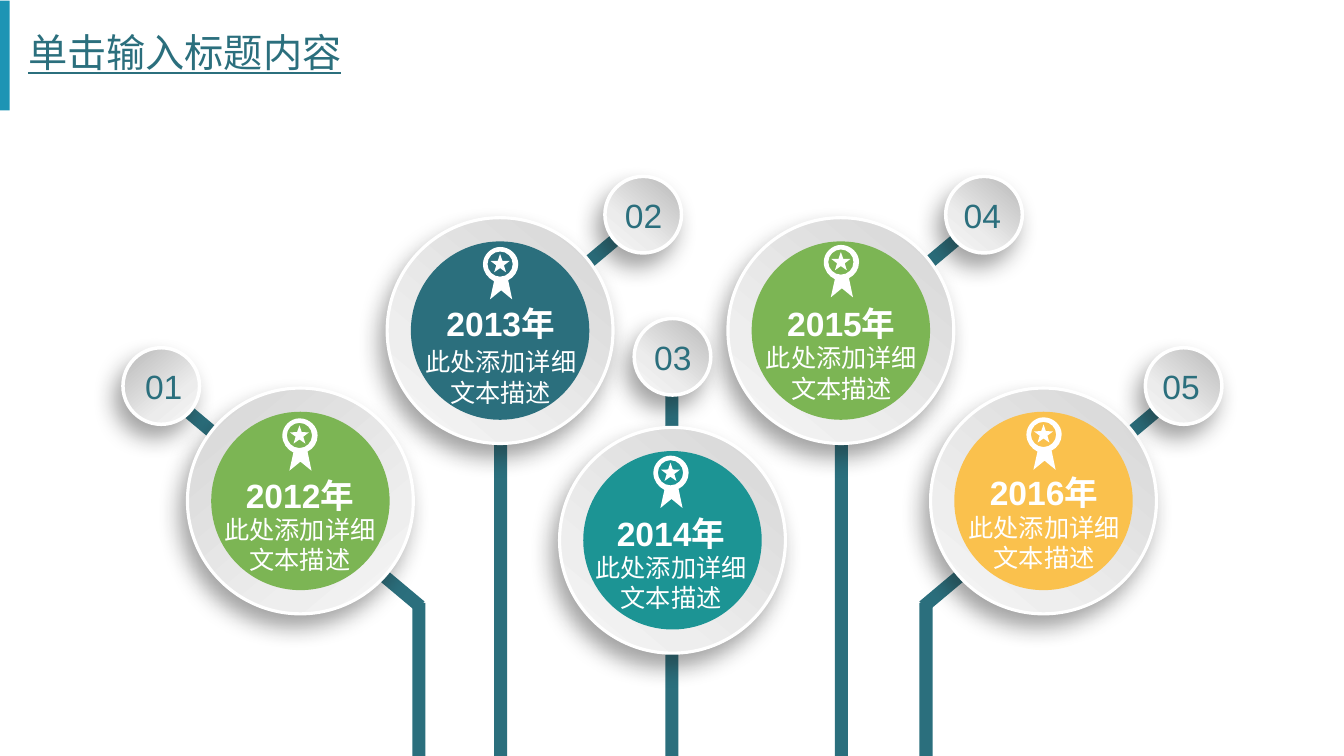
import math

import pptx
import pptx.dml.color
import pptx.enum.shapes
import pptx.enum.text
import pptx.oxml
import pptx.oxml.ns
import pptx.util

Inches = pptx.util.Inches
Pt = pptx.util.Pt
qn = pptx.oxml.ns.qn
Kind = pptx.enum.shapes.MSO_SHAPE
Align = pptx.enum.text.PP_ALIGN
Anchor = pptx.enum.text.MSO_ANCHOR
Fit = pptx.enum.text.MSO_AUTO_SIZE

TEAL, WHITE = "2B6F7D", "FFFFFF"
RING, DISC, BEAD, BAR, LABEL = 2.24, 1.77, 0.76, 0.13, 1.75
RING_STOPS = [(10, "D9D9D9"), (72, "EEEEEE"), (100, "F9F9F9")]
BEAD_STOPS = [(7, "BEBEBE"), (66, "ECECEC"), (100, "F7F7F7")]

# number, year, colour, ring corner, bead corner, number left, label left,
# tops of medal, year and text, bars (x, y, height, turn)
NODES = [
    ("05", "2016年", "FAC14D", (9.23, 3.85), (11.36, 3.45), 11.43, 9.48,
     (4.14, 4.63, 5.03), [(10.26, 3.52, 3.04, 50), (9.12, 5.98, 1.52, 0)]),
    ("04", "2015年", "7CB554", (7.22, 2.16), (9.38, 1.75), 9.46, 7.47,
     (2.43, 2.96, 3.35), [(8.84, 2.11, 1.51, 50), (8.28, 3.3, 4.2, 0)]),
    ("03", "2014年", "1C9494", (5.55, 4.24), (6.29, 3.16), 6.39, 5.78,
     (4.52, 5.04, 5.43), [(6.6, 3.8, 3.7, 0)]),
    ("02", "2013年", TEAL, (3.84, 2.16), (6, 1.75), 6.1, 4.09,
     (2.45, 2.96, 3.39), [(5.46, 2.11, 1.51, 50), (4.9, 3.3, 4.2, 0)]),
    ("01", "2012年", "7CB554", (1.86, 3.85), (1.22, 3.45), 1.34, 2.1,
     (4.15, 4.66, 5.05), [(2.94, 3.52, 3.04, -50), (4.09, 5.98, 1.52, 0)]),
]


def ribbon():
    """Outline of rosette and tails: a start, then curves (3 points) and lines (1)."""
    return [[(0.17, 0)],
            [(0.27, 0), (0.35, 0.08), (0.35, 0.17)],
            [(0.35, 0.24), (0.31, 0.3), (0.25, 0.33)],
            [(0.29, 0.52)], [(0.18, 0.43)], [(0.07, 0.52)], [(0.11, 0.34)],
            [(0.05, 0.31), (0, 0.25), (0, 0.17)],
            [(0, 0.08), (0.08, 0), (0.17, 0)]]


def hole(x, y, r):
    k = 0.55 * r
    return [[(x, y - r)],
            [(x - k, y - r), (x - r, y - k), (x - r, y)],
            [(x - r, y + k), (x - k, y + r), (x, y + r)],
            [(x + k, y + r), (x + r, y + k), (x + r, y)],
            [(x + r, y - k), (x + k, y - r), (x, y - r)]]


def star(x, y, r):
    points = []
    for i in range(10):
        size = r * 0.4 if i % 2 else r
        turn = math.radians(36 * i - 90)
        points.append([(x + size * math.cos(turn), y + size * math.sin(turn))])
    return points


def rgb(code):
    return pptx.dml.color.RGBColor.from_string(code)


def paint(shape, color):
    shape.shadow.inherit = False
    shape.fill.solid()
    shape.fill.fore_color.rgb = rgb(color)
    shape.line.fill.background()


def plain(slide, kind, x, y, w, h, color, turn=0):
    shape = slide.shapes.add_shape(kind, Inches(x), Inches(y), Inches(w), Inches(h))
    shape.rotation = turn
    paint(shape, color)
    return shape


def raised(slide, x, y, size, stops, width, flip):
    """Circle with a grey gradient, a white rim and a soft shadow."""
    shape = slide.shapes.add_shape(
        Kind.OVAL, Inches(x), Inches(y), Inches(size), Inches(size))
    shape.shadow.inherit = False
    shape.line.color.rgb = rgb(WHITE)
    shape.line.width = Pt(width)
    props = shape.element.spPr
    if flip:
        props.xfrm.set("flipH", "1")
    space = pptx.oxml.ns.nsdecls("a")
    marks = "".join(
        f'<a:gs pos="{pos * 1000}"><a:srgbClr val="{color}"/></a:gs>'
        for pos, color in stops)
    props.find(qn("a:prstGeom")).addnext(pptx.oxml.parse_xml(
        f'<a:gradFill {space} rotWithShape="1"><a:gsLst>{marks}</a:gsLst>'
        '<a:lin ang="7800000" scaled="0"/></a:gradFill>'))
    props.find(qn("a:effectLst")).append(pptx.oxml.parse_xml(
        f'<a:outerShdw {space} blurRad="{Pt(16)}" dist="{Pt(10)}" dir="7200000" '
        'algn="tr" rotWithShape="0"><a:srgbClr val="1A1A1A">'
        '<a:alpha val="40000"/></a:srgbClr></a:outerShdw>'))


def label(slide, text, x, y, w, h, size, color, bold=False, wrap=True):
    box = slide.shapes.add_textbox(Inches(x), Inches(y), Inches(w), Inches(h))
    frame = box.text_frame
    frame.word_wrap = wrap
    frame.auto_size = Fit.SHAPE_TO_FIT_TEXT
    frame.vertical_anchor = Anchor.TOP if wrap else Anchor.MIDDLE
    par = frame.paragraphs[0]
    par.text = text
    par.alignment = Align.CENTER if wrap else Align.LEFT
    par.font.name = "Arial"
    par.font.size = Pt(size)
    par.font.bold = bold
    par.font.color.rgb = rgb(color)


def medal(slide, x, y):
    loops = [star(0.17, 0.17, 0.1), hole(0.17, 0.17, 0.125), ribbon()]
    pen = None
    for loop in loops:
        first, *rest = [(Inches(x + dx), Inches(y + dy))
                        for step in loop for dx, dy in step]
        if pen is None:
            pen = slide.shapes.build_freeform(*first)
        else:
            pen.move_to(*first)
        pen.add_line_segments(rest)
    shape = pen.convert_to_shape()
    paint(shape, WHITE)
    # Join each three points of a curve into one Bezier segment
    track = next(shape.element.iter(qn("a:path")))
    nodes = iter([n for n in track if n.tag != qn("a:close")])
    for step in (step for loop in loops for step in loop):
        parts = [next(nodes) for _ in step]
        if len(parts) == 3:
            curve = pptx.oxml.parse_xml(
                f'<a:cubicBezTo {pptx.oxml.ns.nsdecls("a")}/>')
            parts[0].addprevious(curve)
            for part in parts:
                curve.append(part[0])
                track.remove(part)


def node(slide, num, year, color, ring, bead, inset, left, tops, bars):
    flip = num == "01"
    # Stem
    for x, y, height, turn in bars:
        plain(slide, Kind.RECTANGLE, x, y, BAR, height, TEAL, turn)
    # Ring and numbered bead
    raised(slide, *ring, RING, RING_STOPS, 2.25, flip)
    gap = (RING - DISC) / 2
    plain(slide, Kind.OVAL, ring[0] + gap, ring[1] + gap, DISC, DISC, color)
    raised(slide, *bead, BEAD, BEAD_STOPS, 2.5, flip)
    label(slide, num, inset, bead[1] + 0.13, 0.58, 0.5, 24, TEAL, wrap=False)
    # Content of the disc
    badge, head, body = tops
    label(slide, year, left, head, LABEL, 0.5, 24, WHITE, bold=True)
    label(slide, "此处添加详细文本描述", left, body, LABEL, 0.71, 18, WHITE)
    medal(slide, left + 0.7, badge)


def heading(slide, text):
    title = slide.shapes.title
    title.left, title.top = Inches(0.18), Inches(0.2)
    title.width, title.height = Inches(11.5), Inches(0.68)
    title.text_frame.vertical_anchor = Anchor.MIDDLE
    par = title.text_frame.paragraphs[0]
    par.text = text
    par.alignment = Align.LEFT
    par.line_spacing = 0.9
    par.font.name = "Montserrat"
    par.font.size = Pt(28)
    par.font.underline = True
    par.font.color.rgb = rgb(TEAL)


def main():
    deck = pptx.Presentation()
    deck.slide_width, deck.slide_height = Inches(13.33), Inches(7.5)
    slide = deck.slides.add_slide(deck.slide_layouts[5])
    # Accent at the left edge
    plain(slide, Kind.RECTANGLE, -0.5, 0.5, 1.09, 0.1, "1D94B4", 90)
    heading(slide, "单击输入标题内容")
    for item in NODES:
        node(slide, *item)
    deck.save("out.pptx")


if __name__ == "__main__":
    main()
